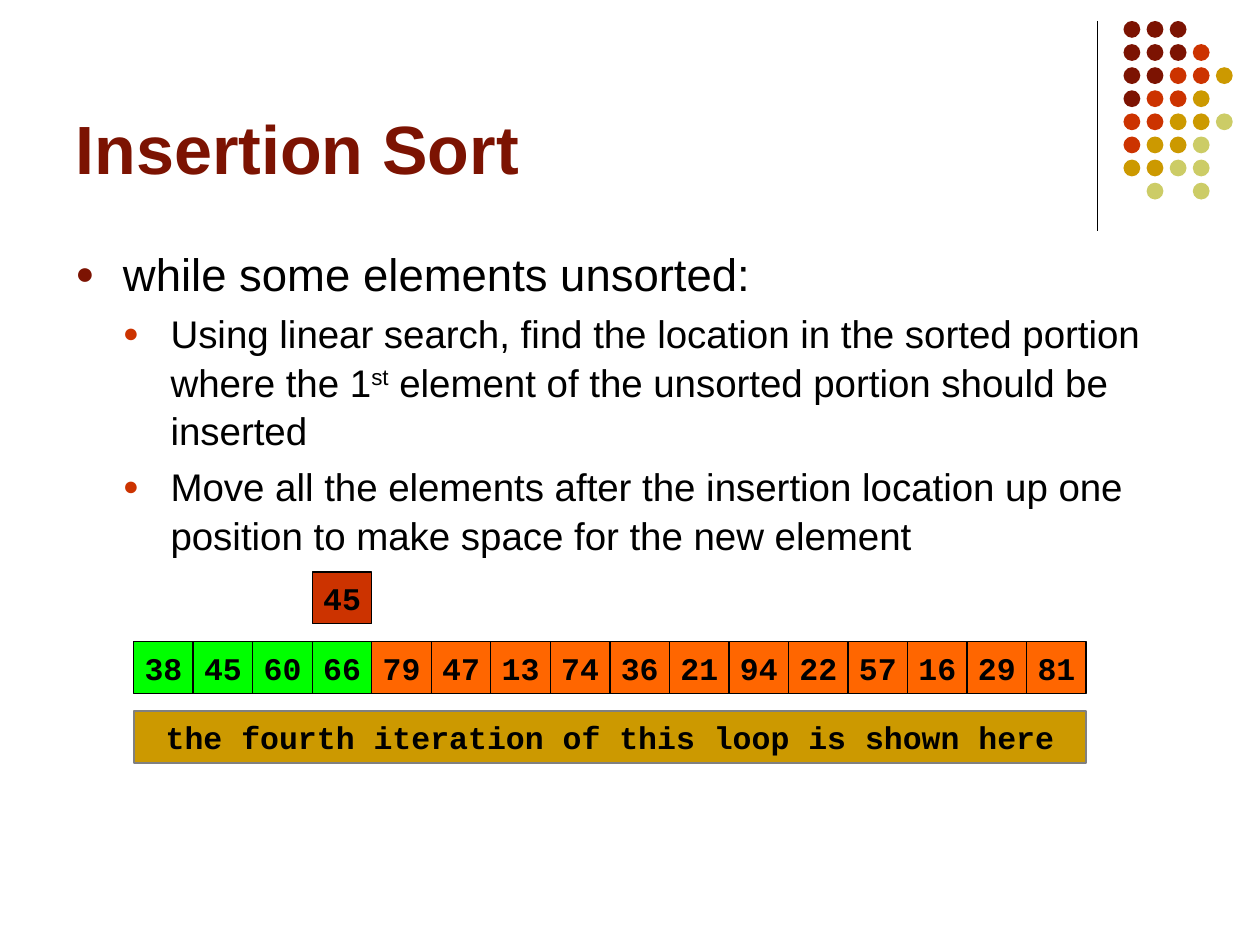
from lxml.etree import SubElement
from pptx import Presentation
from pptx.dml.color import RGBColor
from pptx.enum.shapes import MSO_CONNECTOR, MSO_SHAPE
from pptx.enum.text import MSO_ANCHOR, PP_ALIGN
from pptx.oxml.ns import qn
from pptx.util import Pt

COLORS = {
    "maroon": "7C1302", "red": "CC3300", "gold": "CC9900", "olive": "CCCC66",
    "sorted": "00FF00", "unsorted": "FF6600", "black": "000000", "gray": "808080",
}
DOT_COLORS = {"m": "maroon", "r": "red", "g": "gold", "o": "olive"}
DOT_ROWS = ["mmm", "mmmr", "mmrrg", "mrrg", "rrggo", "rggo", "ggoo", " o o"]
DOT_LEFT, DOT_TOP, DOT_PITCH, DOT_SIZE = 642, 12, 13.2, 9.6

VALUES = [38, 45, 60, 66, 79, 47, 13, 74, 36, 21, 94, 22, 57, 16, 29, 81]
SORTED_COUNT = 4
INSERT_INDEX = 3
CELL_LEFT, CELL_TOP, CELL_WIDTH, CELL_HEIGHT = 76.4, 366.6, 34.02, 29.6
ROW_PITCH = 39.8

STEPS = [
    (0, [("while some elements unsorted:", False)]),
    (1, [("Using linear search, find the location in the sorted portion where the 1", False),
         ("st", True),
         (" element of the unsorted portion should be inserted", False)]),
    (1, [("Move all the elements after the insertion location up one position "
          "to make space for the new element", False)]),
]
LEVEL_STYLES = [(26, "maroon"), (22, "red")]


class SlideBuilder:
    text_font = "Arial"
    code_font = "Courier New"
    indent = 27.2

    def __init__(self, slide):
        self.slide = slide

    def color(self, name):
        return RGBColor.from_string(COLORS[name])

    def run(self, paragraph, text, size, font, color="black", bold=False):
        run = paragraph.add_run()
        run.text = text
        run.font.size = Pt(size)
        run.font.name = font
        run.font.bold = bold
        run.font.color.rgb = self.color(color)
        return run

    def title(self, text, left, top, width, height):
        title = self.slide.shapes.title
        title.left, title.top = Pt(left), Pt(top)
        title.width, title.height = Pt(width), Pt(height)
        title.text_frame.vertical_anchor = MSO_ANCHOR.BOTTOM
        paragraph = title.text_frame.paragraphs[0]
        paragraph.alignment = PP_ALIGN.LEFT
        self.run(paragraph, text, 39, self.text_font, "maroon", True)

    def bullet(self, paragraph, level, color):
        properties = paragraph._p.get_or_add_pPr()
        properties.set("marL", str(Pt(self.indent * (level + 1))))
        properties.set("indent", str(-Pt(self.indent)))
        bullet_color = SubElement(properties, qn("a:buClr"))
        SubElement(bullet_color, qn("a:srgbClr"), val=COLORS[color])
        SubElement(properties, qn("a:buSzPct"), val="70000")
        SubElement(properties, qn("a:buFont"), typeface=self.text_font)
        SubElement(properties, qn("a:buChar"), char="●")

    def bullets(self, items, left, top, width, height):
        box = self.slide.shapes.add_textbox(Pt(left), Pt(top), Pt(width), Pt(height))
        frame = box.text_frame
        frame.word_wrap = True
        for index, (level, pieces) in enumerate(items):
            paragraph = frame.add_paragraph() if index else frame.paragraphs[0]
            size, color = LEVEL_STYLES[level]
            paragraph.level = level
            paragraph.line_spacing = 1.05
            paragraph.space_before = Pt(size * 0.2)
            self.bullet(paragraph, level, color)
            for text, raised in pieces:
                run = self.run(paragraph, text, size, self.text_font)
                if raised:
                    run._r.get_or_add_rPr().set("baseline", "30000")

    def box(self, text, left, top, width, fill, line="black", line_width=0.75):
        shape = self.slide.shapes.add_shape(
            MSO_SHAPE.RECTANGLE, Pt(left), Pt(top), Pt(width), Pt(CELL_HEIGHT))
        shape.shadow.inherit = False
        shape.fill.solid()
        shape.fill.fore_color.rgb = self.color(fill)
        shape.line.color.rgb = self.color(line)
        shape.line.width = Pt(line_width)
        frame = shape.text_frame
        frame.margin_left = frame.margin_right = Pt(3.6)
        frame.margin_top = frame.margin_bottom = Pt(3.6)
        frame.vertical_anchor = MSO_ANCHOR.MIDDLE
        paragraph = frame.paragraphs[0]
        paragraph.alignment = PP_ALIGN.CENTER
        self.run(paragraph, text, 18, self.code_font, bold=True)

    def dots(self, rows):
        group = self.slide.shapes.add_group_shape()
        for row, codes in enumerate(rows):
            for column, code in enumerate(codes):
                if code == " ":
                    continue
                dot = group.shapes.add_shape(
                    MSO_SHAPE.OVAL,
                    Pt(DOT_LEFT + column * DOT_PITCH), Pt(DOT_TOP + row * DOT_PITCH),
                    Pt(DOT_SIZE), Pt(DOT_SIZE))
                dot.shadow.inherit = False
                dot.fill.solid()
                dot.fill.fore_color.rgb = self.color(DOT_COLORS[code])
                dot.line.fill.background()

    def line(self, x1, y1, x2, y2):
        connector = self.slide.shapes.add_connector(
            MSO_CONNECTOR.STRAIGHT, Pt(x1), Pt(y1), Pt(x2), Pt(y2))
        connector.line.color.rgb = self.color("black")
        connector.line.width = Pt(0.75)
        SubElement(connector._element.spPr, qn("a:effectLst"))


def main():
    presentation = Presentation()
    presentation.slide_width, presentation.slide_height = Pt(720), Pt(540)
    builder = SlideBuilder(presentation.slides.add_slide(presentation.slide_layouts[5]))

    builder.line(627, 12, 627, 132)
    builder.dots(DOT_ROWS)
    builder.title("Insertion Sort", 36, 9.4, 594, 102)
    builder.bullets(STEPS, 36, 135.4, 648, 206.6)

    for index, value in enumerate(VALUES):
        fill = "sorted" if index < SORTED_COUNT else "unsorted"
        builder.box(str(value), CELL_LEFT + index * CELL_WIDTH, CELL_TOP, CELL_WIDTH, fill)
    builder.box(str(VALUES[1]), CELL_LEFT + INSERT_INDEX * CELL_WIDTH,
                CELL_TOP - ROW_PITCH, CELL_WIDTH, "red")
    builder.box("the fourth iteration of this loop is shown here", CELL_LEFT,
                CELL_TOP + ROW_PITCH, CELL_WIDTH * len(VALUES), "gold", "gray", 1)

    presentation.save("out.pptx")


if __name__ == "__main__":
    main()
